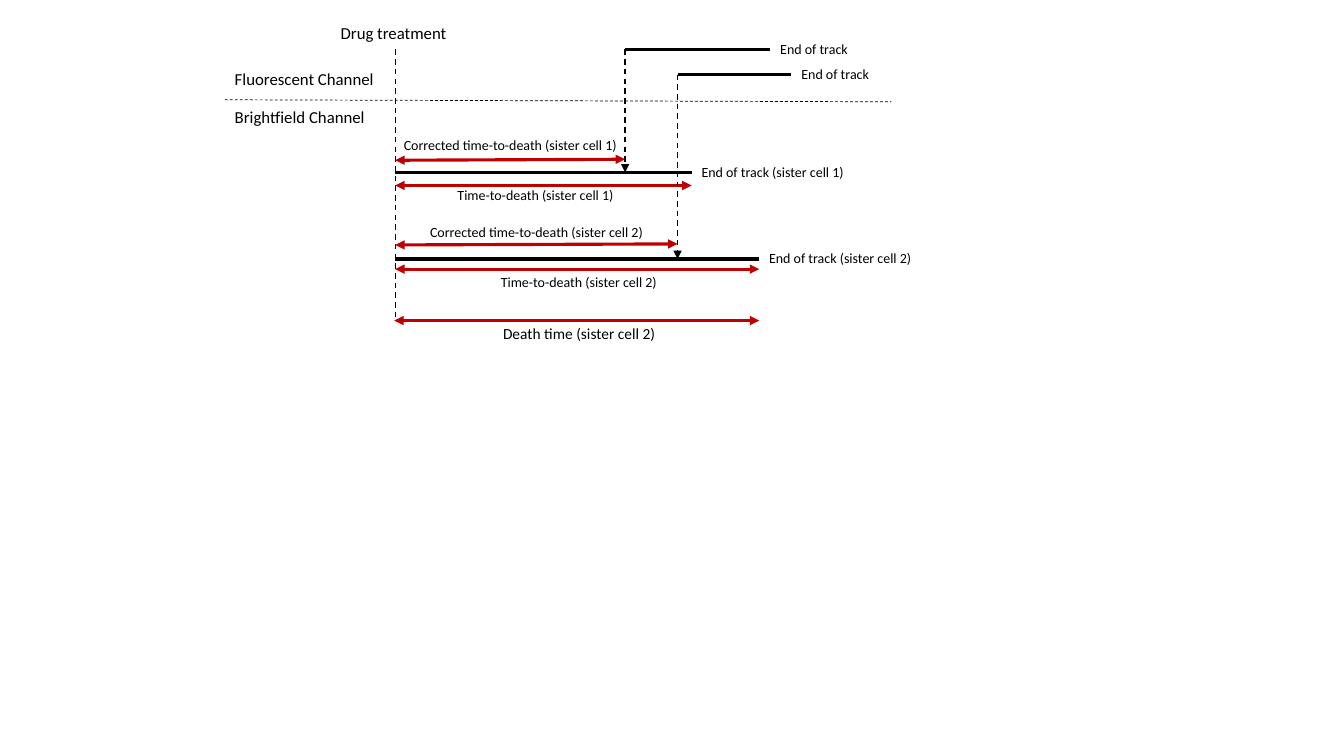
from dataclasses import dataclass
from lxml.etree import SubElement
from pptx import Presentation
from pptx.dml.color import RGBColor as Color
from pptx.enum.dml import MSO_LINE as Dash
from pptx.enum.shapes import MSO_CONNECTOR as Connector
from pptx.enum.text import MSO_AUTO_SIZE as AutoSize, PP_ALIGN as Align
from pptx.oxml.ns import qn
from pptx.util import Inches, Pt


@dataclass(frozen=True)
class Theme:
    """Colours, font, type sizes and line weights."""
    font: str = "Calibri"
    ink: Color = Color(0, 0, 0)
    span_red: Color = Color(0xC0, 0, 0)
    heading: int = 12
    summary: int = 11
    label: int = 10
    thick: float = 2.25
    guide: float = 1
    hairline: float = 0.5


@dataclass(frozen=True)
class Box:
    """An area of the slide, in inches."""
    left: float
    top: float
    width: float
    height: float


@dataclass(frozen=True)
class Cell:
    """One sister cell: its box starts at the brightfield track's left end."""
    number: int
    box: Box
    corrected: float   # length of the corrected time-to-death
    corrected_y: tuple  # arrow heights at both ends, from the track
    time_y: float      # time-to-death arrow, from the track
    time_middle: float  # centre of the time-to-death label


THEME = Theme()
START = 3.92
CELLS = [
    Cell(1, Box(START, 1.71, 2.94, 0.36), 2.28, (-0.12, -0.13), 0.13, 1.39),
    Cell(2, Box(START, 2.57, 3.61, 0.36), 2.8, (-0.14, -0.15), 0.1, 1.82),
]


def add_text(page, text, left, top, width, height=0.27, *, size=THEME.label,
             align=Align.LEFT, wrap=True):
    """Add a one-line text box."""
    box = page.shapes.add_textbox(*map(Inches, (left, top, width, height)))
    frame = box.text_frame
    frame.word_wrap = wrap
    frame.auto_size = AutoSize.SHAPE_TO_FIT_TEXT
    para = frame.paragraphs[0]
    para.alignment = align
    span = para.add_run()
    span.text = text
    span.font.name = THEME.font
    span.font.size = Pt(size)
    span.font.color.rgb = THEME.ink


def add_line(page, start, end, *, color=THEME.ink, weight=THEME.thick,
             dashed=False, arrows=()):
    """Add a straight line; arrows names the ends that carry a triangle."""
    line = page.shapes.add_connector(Connector.STRAIGHT,
                                     *map(Inches, (*start, *end)))
    line.line.color.rgb = color
    line.line.width = Pt(weight)
    if dashed:
        line.line.dash_style = Dash.DASH
    for name in arrows:
        SubElement(line.line._ln, qn(f"a:{name}"), type="triangle")
    SubElement(line._element.spPr, qn("a:effectLst"))


def add_span(page, start, end):
    """Add a red double-headed time span."""
    add_line(page, start, end, color=THEME.span_red,
             arrows=("headEnd", "tailEnd"))


def draw_channels(page, box):
    """Draw the channel divider with a heading above and below it."""
    add_line(page, (box.left, box.top), (box.left + box.width, box.top + box.height),
             weight=THEME.hairline, dashed=True)
    for text, rise, width in (("Fluorescent Channel", -0.36, 1.6),
                              ("Brightfield Channel", 0.02, 1.5)):
        add_text(page, text, box.left, box.top + rise, width, 0.3,
                 size=THEME.heading, wrap=False)


def draw_treatment(page, box):
    """Draw the drug treatment guide and its heading."""
    add_text(page, "Drug treatment", box.left - 0.64, box.top - 0.31, 1.26, 0.3,
             size=THEME.heading, wrap=False)
    add_line(page, (box.left, box.top), (box.left, box.top + box.height),
             weight=THEME.guide, dashed=True)


def draw_fluorescent(page, box):
    """Draw a fluorescent track and the arrow dropping to its brightfield track."""
    right = box.left + box.width
    add_line(page, (box.left, box.top), (right, box.top))
    add_line(page, (box.left, box.top), (box.left, box.top + box.height),
             weight=THEME.guide, dashed=True, arrows=("tailEnd",))
    add_text(page, "End of track", right, box.top - 0.14, 1.63)


def draw_brightfield(page, cell):
    """Draw a brightfield track with its two time spans and labels."""
    left, top = cell.box.left, cell.box.top
    right = left + cell.box.width
    suffix = f"(sister cell {cell.number})"
    first, last = cell.corrected_y
    add_line(page, (left, top), (right, top))
    add_span(page, (left, top + first), (left + cell.corrected, top + last))
    add_span(page, (left, top + cell.time_y), (right, top + cell.time_y))
    for text, middle, rise, width in (
            ("Corrected time-to-death", cell.corrected / 2, -0.4, 2.44),
            ("Time-to-death", cell.time_middle, 0.09, 1.75)):
        add_text(page, f"{text} {suffix}", left + middle - width / 2, top + rise,
                 width, align=Align.CENTER)
    add_text(page, f"End of track {suffix}", right, top - 0.14, 1.63, wrap=False)


def draw_death_time(page, box):
    """Draw the closing death time span and its label."""
    add_span(page, (box.left, box.top), (box.left + box.width, box.top))
    add_text(page, "Death time (sister cell 2)", box.left + 0.91, box.top - 0.01,
             1.85, box.height, size=THEME.summary, align=Align.CENTER)


def main():
    """Build the one-slide deck."""
    deck = Presentation()
    deck.slide_width, deck.slide_height = Inches(13.33), Inches(7.5)
    page = deck.slides.add_slide(deck.slide_layouts[6])
    draw_channels(page, Box(2.23, 0.99, 6.61, 0.02))
    draw_treatment(page, Box(START, 0.49, 0, 2.7))
    for cell, top, width in zip(CELLS, (0.49, 0.74), (1.44, 1.13)):
        draw_fluorescent(page, Box(START + cell.corrected, top, width,
                                   cell.box.top - top))
        draw_brightfield(page, cell)
    draw_death_time(page, Box(3.91, 3.18, 3.62, 0.29))
    deck.save("out.pptx")


main()
